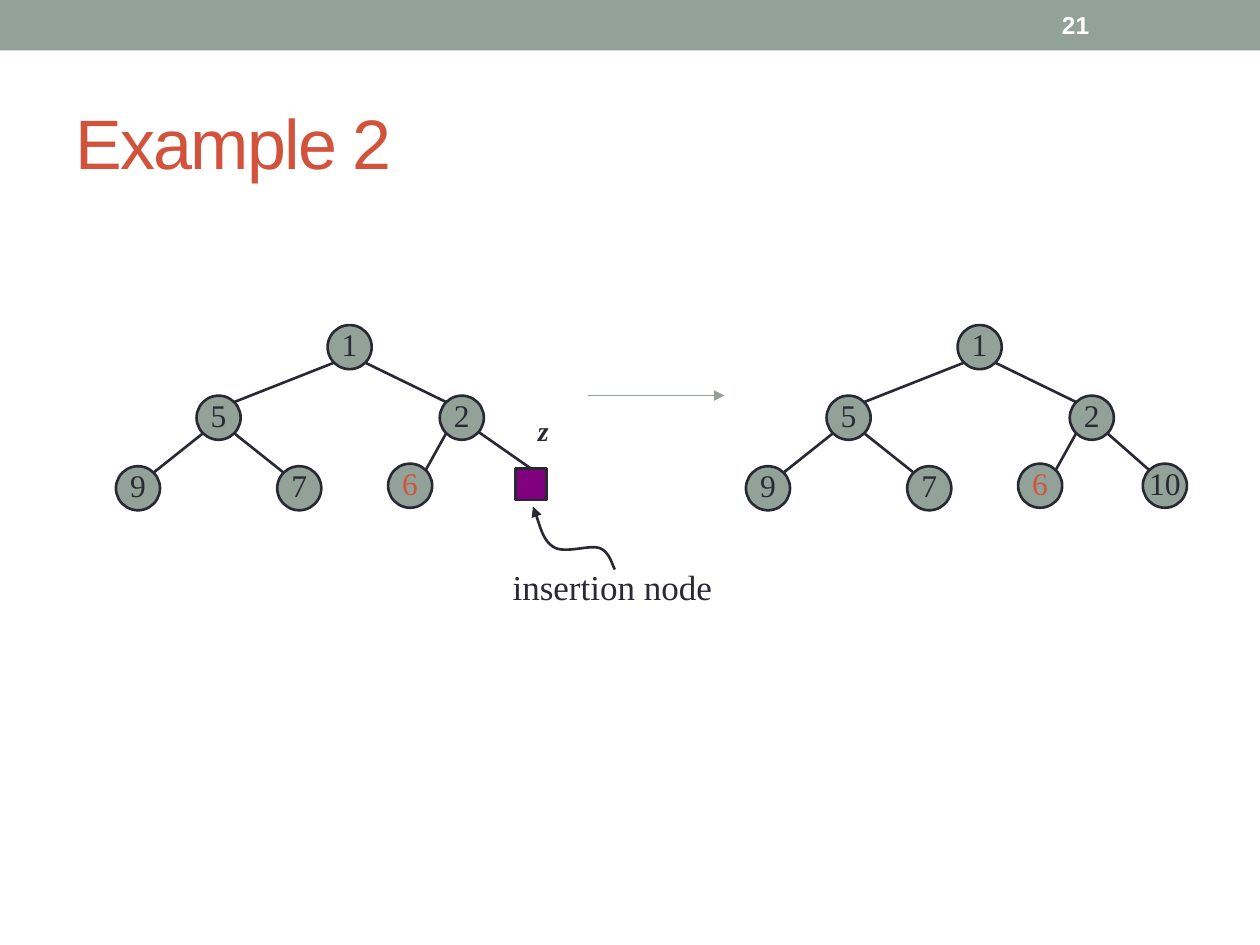
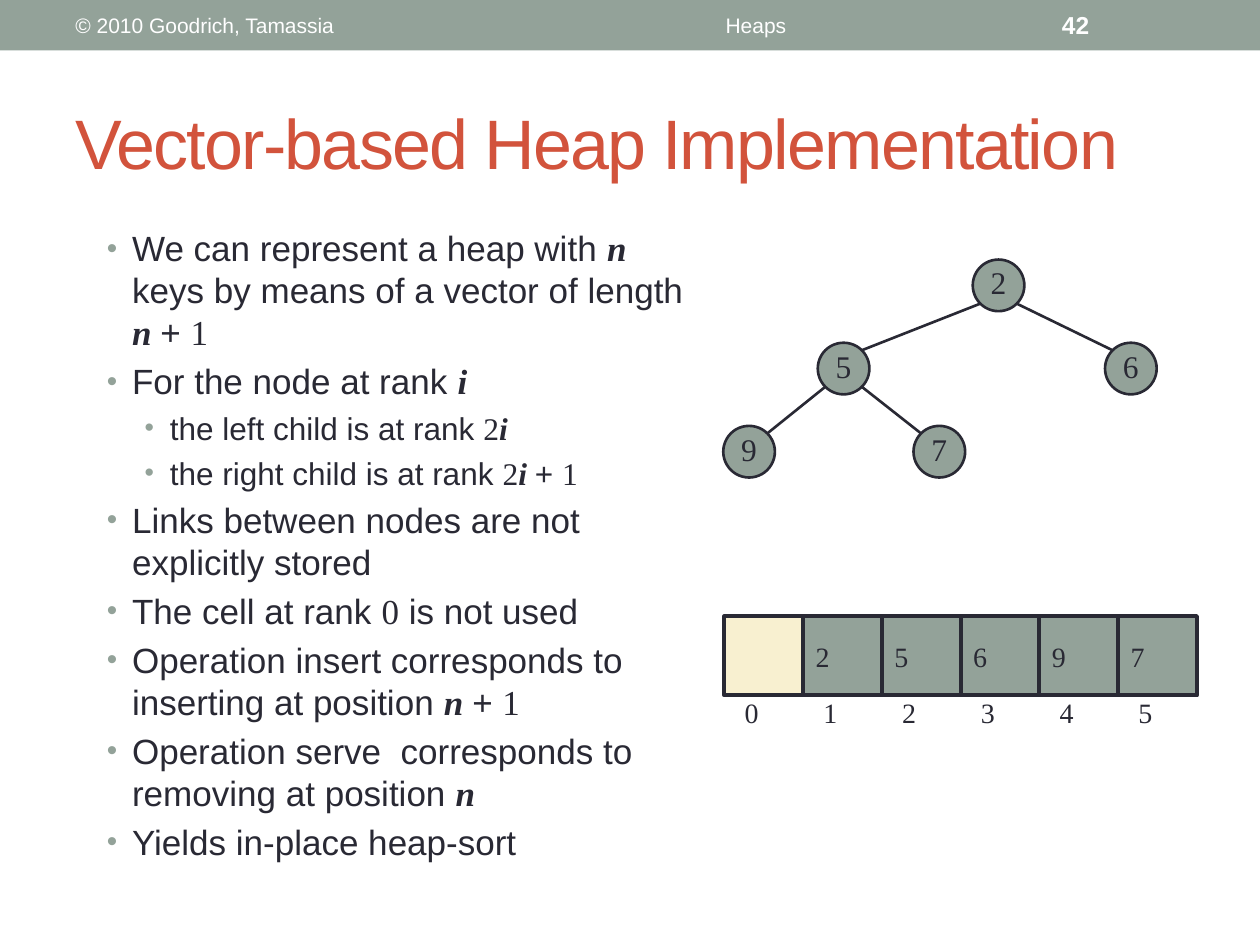
"""Build two slides on heaps: an insertion example and the vector-based layout."""
from dataclasses import dataclass

from pptx import Presentation
from pptx.dml.color import RGBColor as RGB
from pptx.enum.shapes import MSO_CONNECTOR as CONNECTOR, MSO_SHAPE as SHAPE
from pptx.enum.text import MSO_ANCHOR as ANCHOR, PP_ALIGN as ALIGN
from pptx.oxml.ns import qn
from pptx.oxml.xmlchemy import OxmlElement as Element
from pptx.util import Inches, Pt


@dataclass(frozen=True)
class Theme:
    sage: str = "93A299"
    ink: str = "292934"
    rust: str = "D2533C"
    white: str = "FFFFFF"
    cream: str = "F8F0D0"
    purple: str = "800080"
    sans: str = "Arial"
    serif: str = "Times New Roman"
    title: int = 40
    body: int = 20
    sub: int = 18
    key: int = 18
    small: int = 16
    page: int = 14
    footer: int = 12


theme = Theme()


def write(paragraph, text, color, **font_format):
    run = paragraph.add_run()
    run.text = text
    run.font.color.rgb = RGB.from_string(color)
    for attribute, value in font_format.items():
        setattr(run.font, attribute, Pt(value) if attribute == "size" else value)
    return run


def place(slide, at, frame_format, kind=None, fill=None, weight=0):
    box = [Inches(length) for length in at]
    if kind is None:
        part = slide.shapes.add_textbox(*box)
    else:
        part = slide.shapes.add_shape(kind, *box)
        part.shadow.inherit = False
        part.fill.solid()
        part.fill.fore_color.rgb = RGB.from_string(fill)
        if weight:
            part.line.color.rgb = RGB.from_string(theme.ink)
            part.line.width = Pt(weight)
        else:
            part.line.fill.background()
    for attribute, value in frame_format.items():
        setattr(part.text_frame, attribute, value)
    return part


top_text = {"word_wrap": True, "vertical_anchor": ANCHOR.TOP}
middle_text = {"word_wrap": True, "vertical_anchor": ANCHOR.MIDDLE}
loose_text = {"word_wrap": False, "vertical_anchor": ANCHOR.TOP}
index_text = {"word_wrap": True, "margin_left": 0, "margin_right": 0,
              "margin_top": 0, "margin_bottom": 0}
node_text = {"word_wrap": False, "vertical_anchor": ANCHOR.MIDDLE, "margin_left": 0,
             "margin_right": 0, "margin_top": 0, "margin_bottom": Inches(0.05)}

deck = Presentation()
deck.slide_width, deck.slide_height = Inches(10), Inches(7.5)

slides = []
for title, number in [("Example 2", "21"), ("Vector-based Heap Implementation", "42")]:
    slide = deck.slides.add_slide(deck.slide_layouts[6])
    place(slide, (0, 0, 10, 0.4), {}, SHAPE.RECTANGLE, theme.sage)
    heading = place(slide, (0.5, 0.58, 9, 1.08), middle_text)
    heading_run = write(heading.text_frame.paragraphs[0], title, theme.rust,
                        size=theme.title, name=theme.sans)
    heading_run.font._element.set("spc", "-100")
    page = place(slide, (8.33, 0.02, 1.17, 0.36), middle_text)
    write(page.text_frame.paragraphs[0], number, theme.white,
          size=theme.page, name=theme.sans, bold=True)
    slides.append(slide)
example, vector = slides

example_heap = [
    ("1", None, 2.6, 2.58),
    ("5", 0, 1.56, 3.14),
    ("2", 0, 3.49, 3.14),
    ("9", 1, 0.92, 3.7),
    ("7", 1, 2.2, 3.7),
    ("6", 2, 3.08, 3.68),
    ("10", 2, 4.07, 3.68),
]
vector_heap = [
    ("2", None, 7.72, 2.06),
    ("5", 0, 6.49, 2.72),
    ("6", 0, 8.77, 2.72),
    ("9", 1, 5.74, 3.38),
    ("7", 1, 7.25, 3.38),
]
trees = [
    (example, example_heap[:6], 0, 0.35, "6"),
    (example, example_heap, 5, 0.35, "6"),
    (vector, vector_heap, 0, 0.41, None),
]

strokes = []
for slide, heap, shift, size, fresh_key in trees:
    reach = size / 2 * 0.707
    centers = [(x + shift + size / 2, y + size / 2) for key, parent, x, y in heap]
    for (key, parent, x, y), (child_x, child_y) in zip(heap, centers):
        if parent is not None:
            parent_x, parent_y = centers[parent]
            side = reach if child_x > parent_x else -reach
            ends = (parent_x + side, parent_y + reach, child_x - side, child_y - reach)
            edge = slide.shapes.add_connector(CONNECTOR.STRAIGHT, *map(Inches, ends))
            strokes.append((edge, theme.ink, 1.5, False))
    for key, parent, x, y in heap:
        node = place(slide, (x + shift, y, size, size), node_text,
                     SHAPE.OVAL, theme.sage, 1.5)
        label = node.text_frame.paragraphs[0]
        label.alignment = ALIGN.CENTER
        write(label, key, theme.rust if key == fresh_key else theme.ink,
              size=theme.key, name=theme.serif)

insertion_node = place(example, (4.09, 3.72, 0.25, 0.25), {},
                       SHAPE.RECTANGLE, theme.purple, 1.5)
insertion_edge = example.shapes.add_connector(
    CONNECTOR.STRAIGHT, *map(Inches, (3.8, 3.43, 4.2, 3.73)))
insertion_edge.end_connect(insertion_node, 0)
strokes.append((insertion_edge, theme.ink, 1.5, False))

step = example.shapes.add_connector(
    CONNECTOR.STRAIGHT, *map(Inches, (4.67, 3.14, 5.75, 3.14)))
strokes.append((step, theme.sage, 0.75, True))

caption = place(example, (3.97, 4.44, 1.94, 0.43), loose_text)
write(caption.text_frame.paragraphs[0], "insertion node", theme.ink,
      size=theme.body, name=theme.serif)
position = place(example, (4.17, 3.23, 0.33, 0.5), loose_text)
write(position.text_frame.paragraphs[0], "z", theme.ink,
      size=theme.small, name=theme.serif, bold=True, italic=True)

bends = [(4.86, 4.49), (4.84, 4.38), (4.76, 4.35), (4.68, 4.32), (4.48, 4.4),
         (4.39, 4.34), (4.31, 4.29), (4.26, 4.09), (4.23, 4.02)]
outline = example.shapes.build_freeform(Inches(4.88), Inches(4.52))
outline.add_line_segments([(Inches(x), Inches(y)) for x, y in bends], close=False)
pointer = outline.convert_to_shape()
pointer.fill.background()
segments = list(pointer._element.iter(qn("a:lnTo")))
for start in range(0, len(segments), 3):
    curve = Element("a:cubicBezTo")
    segments[start].addprevious(curve)
    for segment in segments[start:start + 3]:
        curve.append(segment[0])
        segment.getparent().remove(segment)
strokes.append((pointer, theme.ink, 1.5, True))

for stroke, color, weight, has_arrow in strokes:
    stroke.line.color.rgb = RGB.from_string(color)
    stroke.line.width = Pt(weight)
    if has_arrow:
        arrowhead = Element("a:tailEnd")
        arrowhead.set("type", "triangle")
        stroke.line._get_or_add_ln().append(arrowhead)
    stroke._element.spPr.append(Element("a:effectLst"))

for text, at, alignment in [
    ("© 2010 Goodrich, Tamassia", (0.5, 0.02, 3.17, 0.36), ALIGN.LEFT),
    ("Heaps", (3.75, 0.02, 4.5, 0.36), ALIGN.CENTER),
]:
    footer = place(vector, at, middle_text).text_frame.paragraphs[0]
    footer.alignment = alignment
    write(footer, text, theme.white, size=theme.footer, name=theme.sans)

plain = {"name": theme.sans}
digit = {"name": theme.serif}
variable = {"name": theme.serif, "bold": True, "italic": True}
points = [
    (0, [("We can represent a heap with ", plain), ("n", variable),
         (" keys by means of a vector of length ", plain),
         ("n ", variable), ("+ ", plain), ("1", digit)]),
    (0, [("For the node at rank ", plain), ("i", variable)]),
    (1, [("the left child is at rank ", plain), ("2", digit), ("i", variable)]),
    (1, [("the right child is at rank ", plain), ("2", digit),
         ("i ", variable), ("+ ", plain), ("1", digit)]),
    (0, [("Links between nodes are not explicitly stored", plain)]),
    (0, [("The cell at rank ", plain), ("0", digit), (" is not used", plain)]),
    (0, [("Operation insert corresponds to inserting at position ", plain),
         ("n ", variable), ("+ ", plain), ("1", digit)]),
    (0, [("Operation serve  corresponds to removing at position ", plain),
         ("n", variable)]),
    (0, [("Yields in-place heap-sort", plain)]),
]
body = place(vector, (0.75, 1.75, 4.83, 5.33), top_text).text_frame
for order, (level, pieces) in enumerate(points):
    point = body.add_paragraph() if order else body.paragraphs[0]
    point.level = level
    point.space_before = Pt(4)
    properties = point._p.get_or_add_pPr()
    properties.set("marL", str(Inches(0.5 if level else 0.2)))
    properties.set("indent", str(Inches(-0.2)))
    bullet_color = Element("a:buClr")
    swatch = Element("a:srgbClr")
    swatch.set("val", theme.sage)
    bullet_color.append(swatch)
    properties.append(bullet_color)
    for tag, attribute, value in [("a:buSzPct", "val", "85000"),
                                  ("a:buFont", "typeface", theme.sans),
                                  ("a:buChar", "char", "•")]:
        bullet = Element(tag)
        bullet.set(attribute, value)
        properties.append(bullet)
    for text, style in pieces:
        write(point, text, theme.ink, size=theme.sub if level else theme.body, **style)

pitch = 0.625
for rank, key in enumerate(["", "2", "5", "6", "9", "7"]):
    left = 5.75 + rank * pitch
    cell = place(vector, (left, 4.89, pitch, 0.63), middle_text, SHAPE.RECTANGLE,
                 theme.sage if key else theme.cream, 2.25)
    index = place(vector, (left + 0.16, 5.52, 0.3, 0.4), index_text)
    for part, text in [(cell, key), (index, str(rank))]:
        if text:
            entry = part.text_frame.paragraphs[0]
            entry.alignment = ALIGN.LEFT
            write(entry, text, theme.ink, size=theme.small, name=theme.serif)

deck.save("out.pptx")
